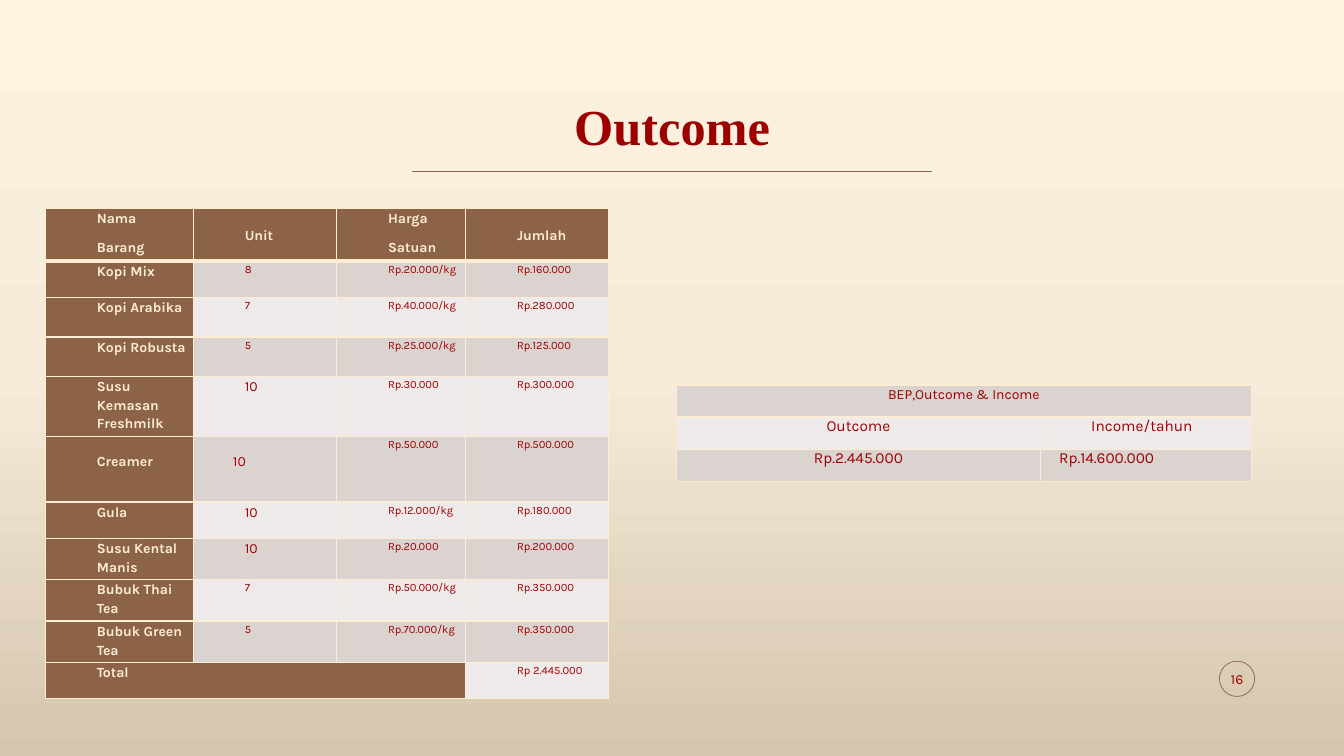
import copy
import pptx
import pptx.dml.color
import pptx.enum.shapes
import pptx.enum.text
import pptx.oxml
import pptx.oxml.ns
import pptx.util

Cm, Pt = pptx.util.Cm, pptx.util.Pt
ALIGN, ANCHOR = pptx.enum.text.PP_ALIGN, pptx.enum.text.MSO_ANCHOR
RED, BROWN, CREAM = "9D0000", "8D6347", "FCEDD4"
BANDS = ("DBD3CF", "EEEAE9")
BODY_FONT = "Karla"
INDENT = 1.3

HEADINGS = (["Nama", "Barang"], ["Unit"], ["Harga", "Satuan"], ["Jumlah"])
# Item, unit, price, amount, row height in cm
ITEMS = (
    ("Kopi Mix", "8", "Rp.20.000/kg", "Rp.160.000", 0.92),
    ("Kopi Arabika", "7", "Rp.40.000/kg", "Rp.280.000", 0.99),
    ("Kopi Robusta", "5", "Rp.25.000/kg", "Rp.125.000", 0.99),
    ("Susu Kemasan Freshmilk", "10", "Rp.30.000", "Rp.300.000", 1.52),
    ("Creamer", "10", "Rp.50.000", "Rp.500.000", 1.65),
    ("Gula", "10", "Rp.12.000/kg", "Rp.180.000", 0.92),
    ("Susu Kental Manis", "10", "Rp.20.000", "Rp.200.000", 1.04),
    ("Bubuk Thai Tea", "7", "Rp.50.000/kg", "Rp.350.000", 1.04),
    ("Bubuk Green Tea", "5", "Rp.70.000/kg", "Rp.350.000", 1.04),
)
HEADING_HEIGHT, TOTAL_HEIGHT = 1.32, 0.92


def colour(value):
    return pptx.dml.color.RGBColor.from_string(value)


def add_run(para, text, size, shade=RED, bold=False, name=BODY_FONT):
    span = para.add_run()
    span.text = text
    span.font.size, span.font.bold, span.font.name = Pt(size), bold, name
    span.font.color.rgb = colour(shade)


def set_borders(cell, top=1, bottom=1):
    properties = cell._tc.get_or_add_tcPr()
    for side, width in (("L", 1), ("R", 1), ("T", top), ("B", bottom)):
        properties.append(pptx.oxml.parse_xml(
            f'<a:ln{side} {pptx.oxml.ns.nsdecls("a")} w="{Pt(width)}">'
            f'<a:solidFill><a:srgbClr val="{CREAM}"/></a:solidFill></a:ln{side}>'))


def fill_cell(cell, lines, size, fill, shade=RED, bold=False, left=INDENT, right=0,
              top=0, align=ALIGN.LEFT, spacing=1.15, anchor=ANCHOR.TOP):
    cell.margin_left, cell.margin_right = Cm(left), Cm(right)
    cell.margin_top, cell.margin_bottom = Cm(top), 0
    cell.vertical_anchor = anchor
    cell.fill.solid()
    cell.fill.fore_color.rgb = colour(fill)
    for index, text in enumerate(lines):
        para = cell.text_frame.paragraphs[0] if index == 0 else cell.text_frame.add_paragraph()
        para.alignment, para.line_spacing = align, spacing
        if index:
            para.space_before = Pt(7.1)
        add_run(para, text, size, shade, bold)


def add_grid(slide, left, top, widths, heights):
    frame = slide.shapes.add_table(len(heights), len(widths), Cm(left), Cm(top),
                                   Cm(sum(widths)), Cm(sum(heights)))
    grid = frame.table
    grid.first_row = grid.horz_banding = False
    for column, width in zip(grid.columns, widths):
        column.width = Cm(width)
    for row, height in zip(grid.rows, heights):
        row.height = Cm(height)
    return grid


def paint_background(slide):
    fill = slide.background.fill
    fill.gradient()
    fill.gradient_angle = 270
    stops = fill.gradient_stops
    last = stops[1]._gs
    last.addprevious(copy.deepcopy(last))
    for stop, (position, shade) in zip(
            fill.gradient_stops, ((0, "FDF3E1"), (0.5, "F6EBD9"), (1, "D4C5AD"))):
        stop.position = position
        stop.color.rgb = colour(shade)


def add_heading(slide, left, top, width, height):
    title = slide.shapes.title
    title.left, title.top, title.width, title.height = map(Cm, (left, top, width, height))
    title.text_frame.vertical_anchor = ANCHOR.BOTTOM
    para = title.text_frame.paragraphs[0]
    para.alignment, para.line_spacing = ALIGN.CENTER, 0.9
    add_run(para, "Outcome", 36, bold=True, name="Times New Roman")

    # Rule centred under the title
    middle, half, below = left + width / 2, 6.55, top + height + 0.25
    rule = slide.shapes.add_connector(pptx.enum.shapes.MSO_CONNECTOR.STRAIGHT,
                                      Cm(middle - half), Cm(below), Cm(middle + half), Cm(below))
    rule.line.color.rgb = colour(BROWN)
    rule.line.width = Pt(1)
    rule._element.spPr.append(
        pptx.oxml.parse_xml(f'<a:effectLst {pptx.oxml.ns.nsdecls("a")}/>'))


def add_cost_table(slide, left, top):
    heights = [HEADING_HEIGHT, *(item[-1] for item in ITEMS), TOTAL_HEIGHT]
    grid = add_grid(slide, left, top, (3.73, 3.61, 3.25, 3.61), heights)
    last = len(heights) - 1
    for row in range(len(heights)):
        for column in range(4):
            set_borders(grid.cell(row, column), top=3 if row == 1 else 1,
                        bottom=3 if row == 0 else 1)

    # Heading row
    for column, lines in enumerate(HEADINGS):
        fill_cell(grid.cell(0, column), lines, 10, BROWN, CREAM, True,
                  anchor=ANCHOR.TOP if len(lines) > 1 else ANCHOR.MIDDLE)

    # Item rows
    for row, (item, unit, price, amount, _) in enumerate(ITEMS, 1):
        band = BANDS[(row - 1) % 2]
        lowered = item == "Creamer"
        drop = 0.38 if lowered else 0
        fill_cell(grid.cell(row, 0), [item], 10, BROWN, CREAM, True, top=drop)
        fill_cell(grid.cell(row, 1), [unit], 10 if unit == "10" else 8, band,
                  left=1 if lowered else INDENT, top=drop)
        fill_cell(grid.cell(row, 2), [price], 8, band)
        fill_cell(grid.cell(row, 3), [amount], 8, band)

    # Total row
    for column in (1, 2):
        fill_cell(grid.cell(last, column), [], 10, BROWN)
    grid.cell(last, 0).merge(grid.cell(last, 2))
    fill_cell(grid.cell(last, 0), ["Total"], 10, BROWN, CREAM, True)
    fill_cell(grid.cell(last, 3), ["Rp 2.445.000"], 8, BANDS[1])


def add_summary_table(slide, left, top):
    grid = add_grid(slide, left, top, (9.19, 5.31), [0.81] * 3)
    for cell in grid.iter_cells():
        set_borders(cell)
    centred = {"left": 0.18, "right": 0.18, "align": ALIGN.CENTER}
    fill_cell(grid.cell(0, 1), [], 10, BANDS[0])
    grid.cell(0, 0).merge(grid.cell(0, 1))
    fill_cell(grid.cell(0, 0), ["BEP,Outcome & Income"], 10, BANDS[0],
              spacing=Pt(13.2), **centred)
    rows = (("Outcome", "Income/tahun", 1.27), ("Rp.2.445.000", "Rp.14.600.000", 0.46))
    for row, (outcome, income, indent) in enumerate(rows, 1):
        band = BANDS[row % 2 == 1]
        fill_cell(grid.cell(row, 0), [outcome], 11, band, spacing=Pt(13.2), **centred)
        fill_cell(grid.cell(row, 1), [income], 11, band, left=indent, right=0.18,
                  spacing=Pt(13.2))


def add_page_number(slide, left, top, size):
    badge = slide.shapes.add_shape(pptx.enum.shapes.MSO_SHAPE.OVAL,
                                   Cm(left), Cm(top), Cm(size), Cm(size))
    badge.shadow.inherit = False
    badge.fill.background()
    badge.line.color.rgb = colour(BROWN)
    badge.line.width = Pt(0.5)
    frame = badge.text_frame
    frame.margin_left = frame.margin_right = frame.margin_top = frame.margin_bottom = 0
    frame.word_wrap = False
    frame.vertical_anchor = ANCHOR.MIDDLE
    para = frame.paragraphs[0]
    para.alignment = ALIGN.CENTER
    add_run(para, "16", 10)


def main():
    deck = pptx.Presentation()
    deck.slide_width, deck.slide_height = Cm(33.87), Cm(19.05)
    page = deck.slides.add_slide(deck.slide_layouts[5])
    paint_background(page)
    add_heading(page, 2.34, 2.11, 29.2, 1.96)
    add_cost_table(page, 1.14, 5.26)
    add_summary_table(page, 17.04, 9.7)
    add_page_number(page, 30.73, 16.66, 0.89)
    deck.save("out.pptx")


if __name__ == "__main__":
    main()
